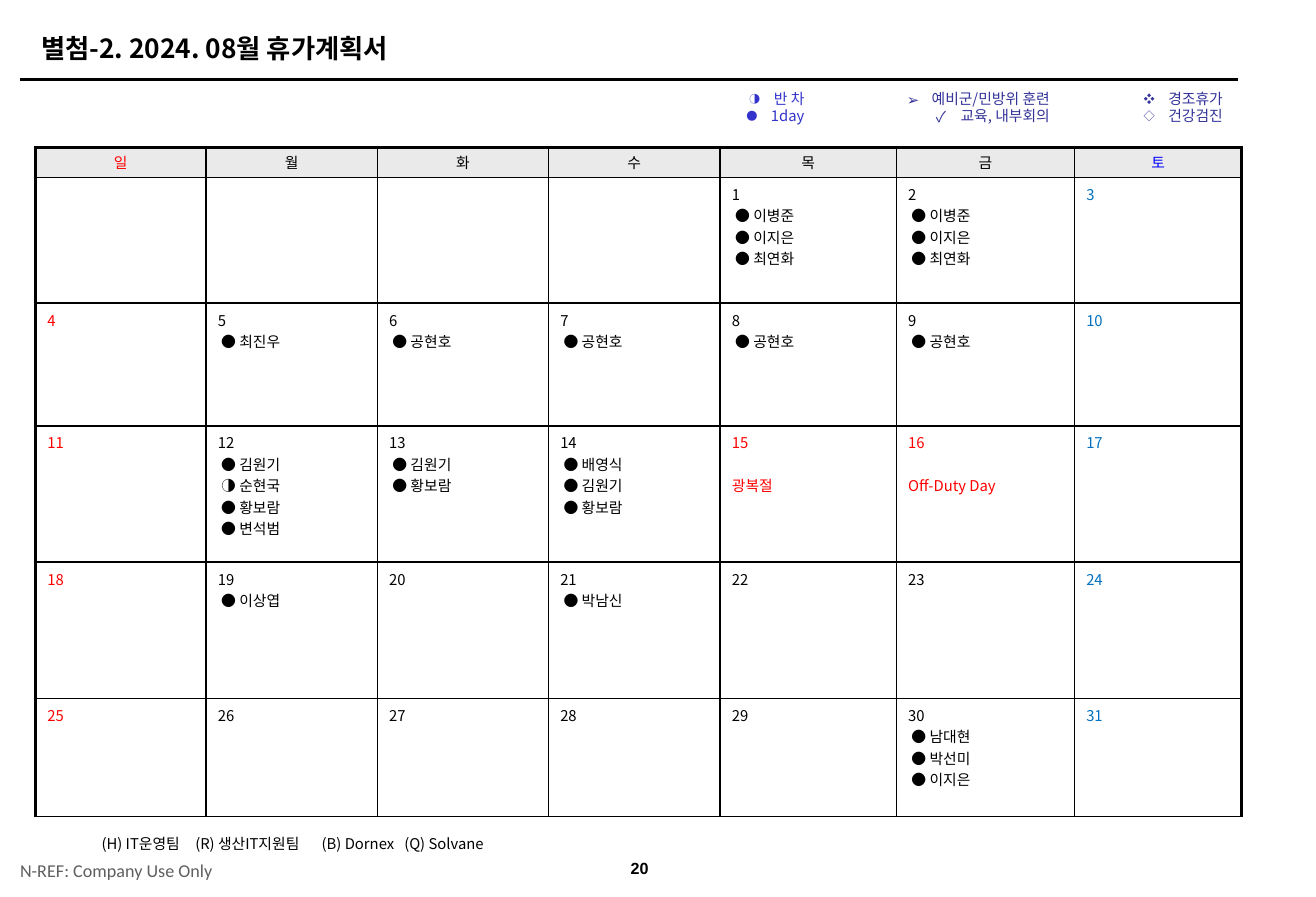
import lxml.etree
import pptx
import pptx.dml.color
import pptx.enum.shapes
import pptx.enum.text
import pptx.oxml.ns
import pptx.util

Cm = pptx.util.Cm
Pt = pptx.util.Pt
ALIGN = pptx.enum.text.PP_ALIGN
ANCHOR = pptx.enum.text.MSO_ANCHOR

KOREAN = "Noto Sans CJK KR"
BLACK, RED, BLUE, GREY = "000000", "FF0000", "0070C0", "EAEAEA"
WEEKDAYS = "일월화수목금토"
COLUMN_WIDTHS = [3.66, 3.67, 3.67, 3.68, 3.78, 3.82, 3.59]
ROW_HEIGHTS = [0.64, 2.7, 2.63, 2.92, 2.92, 2.54]
FIRST_DAY_COLUMN = 4
LAST_DAY = 31
HOLIDAYS = {15: "광복절", 16: "Off-Duty Day"}
LEAVES = {
    1: ["● 이병준", "● 이지은", "● 최연화"],
    2: ["● 이병준", "● 이지은", "● 최연화"],
    5: ["● 최진우"],
    **{day: ["● 공현호"] for day in range(6, 10)},
    12: ["● 김원기", "◑ 순현국", "● 황보람", "● 변석범"],
    13: ["● 김원기", "● 황보람"],
    14: ["● 배영식", "● 김원기", "● 황보람"],
    19: ["● 이상엽"],
    21: ["● 박남신"],
    30: ["● 남대현", "● 박선미", "● 이지은"],
}
# Left edge, width and colour of each group, then (bullet, bullet size %, label)
LEGEND = [
    (0, 1.83, "3333CC", [("◑", 75, "반 차"), ("●", 75, "1day")]),
    (3.15, 3.94, "333399", [("➢", 100, "예비군/민방위 훈련"), ("✓", 100, "교육, 내부회의")]),
    (6.15, 4.65, "333399", [("❖", 75, "경조휴가"), ("◇", 75, "건강검진")]),
]
TEAMS = ["(H) IT운영팀", "(R) 생산IT지원팀", "(B) Dornex", "(Q) Solvane"]
TEAM_STOPS = [2.01, 4.72, 6.49]


def rgb(hex_code):
    return pptx.dml.color.RGBColor.from_string(hex_code)


def add_xml(parent, tag, **attributes):
    return lxml.etree.SubElement(parent, pptx.oxml.ns.qn(tag), attributes)


def write(paragraph, text, color=BLACK, size=9, name=KOREAN, bold=False):
    run = paragraph.add_run()
    run.text = text
    for key, value in {"size": Pt(size), "name": name, "bold": bold}.items():
        setattr(run.font, key, value)
    run.font.color.rgb = rgb(color)
    add_xml(run._r.get_or_add_rPr(), "a:ea", typeface=name)


def add_frame(slide, left, top, width, height, **settings):
    """Add a wrapping text box and return its text frame."""
    frame = slide.shapes.add_textbox(Cm(left), Cm(top), Cm(width), Cm(height)).text_frame
    for key, value in {"word_wrap": True, **settings}.items():
        setattr(frame, key, value)
    return frame


def next_paragraph(frame, index):
    return frame.add_paragraph() if index else frame.paragraphs[0]


def add_bullet(paragraph, bullet, percent, color):
    properties = paragraph._p.get_or_add_pPr()
    properties.set("marL", str(Cm(0.53)))
    properties.set("indent", str(-Cm(0.53)))
    add_xml(add_xml(properties, "a:buClr"), "a:srgbClr", val=color)
    add_xml(properties, "a:buSzPct", val=str(percent * 1000))
    add_xml(properties, "a:buFont", typeface=KOREAN)
    add_xml(properties, "a:buChar", char=bullet)


def draw_heading(slide, left, top, width, height):
    title = add_frame(slide, left + 0.21, top, width - 0.96, 0.94,
                      vertical_anchor=ANCHOR.MIDDLE)
    write(title.paragraphs[0], "별첨-2. 2024. 08월 휴가계획서", size=16, bold=True)
    rule = slide.shapes.add_connector(
        pptx.enum.shapes.MSO_CONNECTOR.STRAIGHT,
        Cm(left), Cm(top + height), Cm(left + width), Cm(top + height))
    rule.line.width = Pt(1.5)
    rule.line.color.rgb = rgb(BLACK)
    add_xml(rule._element.spPr, "a:effectLst")


def draw_legend(slide, left, top, height):
    for offset, width, color, entries in LEGEND:
        group = add_frame(slide, left + offset, top, width, height)
        for index, (bullet, percent, label) in enumerate(entries):
            entry = next_paragraph(group, index)
            entry.alignment = ALIGN.RIGHT
            entry.line_spacing = 0.95
            add_bullet(entry, bullet, percent, color)
            write(entry, label, color)


def set_borders(cell, widths):
    """Give a cell black borders; widths in points go left, right, top, bottom."""
    properties = cell._tc.get_or_add_tcPr()
    for index, (side, width) in enumerate(zip("LRTB", widths)):
        border = add_xml(properties, f"a:ln{side}", w=str(Pt(width)))
        add_xml(add_xml(border, "a:solidFill"), "a:srgbClr", val=BLACK)
        properties.insert(index, border)


def fill_weekday(cell, column):
    cell.vertical_anchor = ANCHOR.MIDDLE
    cell.margin_top = cell.margin_bottom = Cm(0.08)
    weekday = cell.text_frame.paragraphs[0]
    weekday.alignment = ALIGN.CENTER
    write(weekday, WEEKDAYS[column], {0: RED, 6: "0000FF"}.get(column, BLACK))


def fill_day(cell, day, column):
    color = RED if day in HOLIDAYS else {0: RED, 6: BLUE}.get(column, BLACK)
    frame = cell.text_frame
    write(frame.paragraphs[0], str(day), color)
    for leave in LEAVES.get(day, []):
        entry = frame.add_paragraph()
        entry._p.get_or_add_pPr().set("marL", str(Cm(0.07)))
        write(entry, leave)
    if day in HOLIDAYS:
        holiday = frame.add_paragraph()
        holiday.space_before = Pt(13)
        write(holiday, HOLIDAYS[day], color)


def draw_calendar(slide, left, top):
    rows, columns = len(ROW_HEIGHTS), len(COLUMN_WIDTHS)
    calendar = slide.shapes.add_table(
        rows, columns, Cm(left), Cm(top),
        Cm(sum(COLUMN_WIDTHS)), Cm(sum(ROW_HEIGHTS))).table
    calendar.first_row = calendar.horz_banding = False
    for column, width in zip(calendar.columns, COLUMN_WIDTHS):
        column.width = Cm(width)
    for row, height in zip(calendar.rows, ROW_HEIGHTS):
        row.height = Cm(height)
    for row in range(rows):
        for column in range(columns):
            cell = calendar.cell(row, column)
            cell.fill.solid()
            cell.fill.fore_color.rgb = rgb("FFFFFF" if row else GREY)
            set_borders(cell, [1 + (column == 0), 1 + (column == columns - 1), 1 + (row == 0), 1])
            day = (row - 1) * columns + column - FIRST_DAY_COLUMN + 1
            if row == 0:
                fill_weekday(cell, column)
            elif 1 <= day <= LAST_DAY:
                fill_day(cell, day, column)


def draw_footer(slide, left, top):
    teams = add_frame(slide, left + 1.75, top, 9.5, 0.61, margin_left=0,
                      vertical_anchor=ANCHOR.MIDDLE).paragraphs[0]
    stops = add_xml(teams._p.get_or_add_pPr(), "a:tabLst")
    for stop in TEAM_STOPS:
        add_xml(stops, "a:tab", pos=str(Cm(stop)), algn="l")
    write(teams, "\t".join(TEAMS))

    notice = add_frame(slide, left, top + 0.48, 4.88, 0.79, margin_left=0, margin_right=0,
                       vertical_anchor=ANCHOR.MIDDLE).paragraphs[0]
    write(notice, "N-REF: Company Use Only", "5F5F5F", 11, "Calibri")

    page = add_frame(slide, left + 12.6, top + 0.43, 1.37, 0.79,
                     vertical_anchor=ANCHOR.MIDDLE).paragraphs[0]
    page.alignment = ALIGN.CENTER
    write(page, "20", size=9.8, name="Arial", bold=True)


def main():
    deck = pptx.Presentation()
    deck.slide_width, deck.slide_height = Cm(28.22), Cm(19.23)
    slide = deck.slides.add_slide(deck.slide_layouts[6])
    draw_heading(slide, 0.43, 0.56, 26.11, 1.14)
    draw_legend(slide, 15.67, 1.82, 1)
    draw_calendar(slide, 0.76, 3.16)
    draw_footer(slide, 0.43, 17.78)
    deck.save("out.pptx")


if __name__ == "__main__":
    main()
